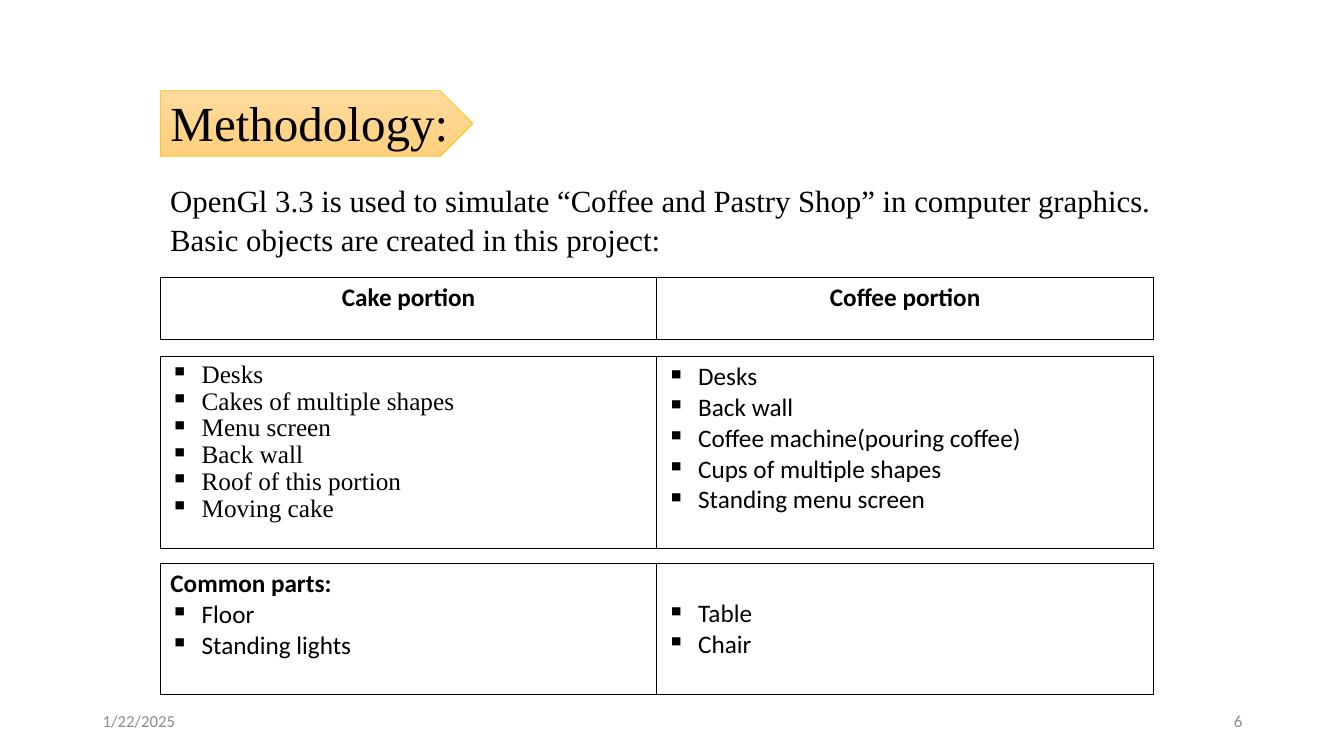
"""Build the methodology slide of a graphics project presentation."""
from dataclasses import dataclass, field
from typing import Any

from lxml import etree
from pptx import Presentation
from pptx import util as u
from pptx.dml.color import RGBColor
from pptx.enum import shapes, text
from pptx.oxml import ns

BLACK = RGBColor(0, 0, 0)
GREY = RGBColor(0x8C, 0x8C, 0x8C)
GOLD = RGBColor(0xFF, 0xC0, 0x00)
LIGHT_ORANGE = RGBColor(0xFF, 0xDB, 0x9E)
DEEP_ORANGE = RGBColor(0xFF, 0xD0, 0x7C)
SERIF, SANS = "Times New Roman", "Calibri"
ALIGN, ANCHOR = text.PP_ALIGN, text.MSO_ANCHOR
LEFT, TABLE_WIDTH = 1.59, 9.85
INDENT = 0.31


@dataclass
class Line:
    words: str
    size: float = 18
    font: str = SANS
    color: RGBColor = BLACK
    bold: bool = False
    bullet: bool = False
    layout: dict[str, Any] = field(default_factory=dict)


@dataclass
class Label:
    place: tuple[float, float, float, float]
    lines: list[Line]
    anchor: ANCHOR = ANCHOR.MIDDLE


@dataclass
class Column:
    lines: list[Line]
    top_margin: float = 0.05


@dataclass
class Panel:
    top: float
    height: float
    columns: list[Column]


def bullets(*items: str, **values: Any) -> list[Line]:
    return [Line(item, bullet=True, **values) for item in items]


def apply(target: Any, values: dict[str, Any]) -> None:
    for name, value in values.items():
        setattr(target, name, value)


def write(frame: Any, lines: list[Line]) -> None:
    for index, line in enumerate(lines):
        para = frame.add_paragraph() if index else frame.paragraphs[0]
        apply(para, line.layout)
        span = para.add_run()
        span.text = line.words
        apply(span.font, {"size": u.Pt(line.size), "name": line.font, "bold": line.bold})
        span.font.color.rgb = line.color
        if line.bullet:
            settings = para._p.get_or_add_pPr()
            settings.set("marL", str(u.Inches(INDENT)))
            settings.set("indent", str(-u.Inches(INDENT)))
            etree.SubElement(settings, ns.qn("a:buChar"), char="▪")


def draw_banner(page: Any) -> None:
    place = map(u.Inches, (LEFT, 0.9, 3.1, 0.65))
    banner = page.shapes.add_shape(shapes.MSO_SHAPE.PENTAGON, *place)
    banner.shadow.inherit = False
    banner.fill.gradient()
    banner.fill.gradient_angle = 270
    for stop, color in zip(banner.fill.gradient_stops, (LIGHT_ORANGE, DEEP_ORANGE)):
        stop.color.rgb = color
    banner.line.color.rgb = GOLD
    banner.line.width = u.Pt(0.5)


def draw_label(page: Any, label: Label) -> None:
    box = page.shapes.add_textbox(*map(u.Inches, label.place))
    apply(box.text_frame, {"word_wrap": True, "vertical_anchor": label.anchor})
    write(box.text_frame, label.lines)


def outline(cell: Any) -> None:
    cell.fill.background()
    settings = cell._tc.get_or_add_tcPr()
    for index, side in enumerate(("lnL", "lnR", "lnT", "lnB")):
        border = etree.Element(ns.qn(f"a:{side}"), w=str(u.Pt(1)))
        paint = etree.SubElement(border, ns.qn("a:solidFill"))
        etree.SubElement(paint, ns.qn("a:srgbClr"), val=str(BLACK))
        settings.insert(index, border)


def draw_panel(page: Any, panel: Panel) -> None:
    place = map(u.Inches, (LEFT, panel.top, TABLE_WIDTH, panel.height))
    table = page.shapes.add_table(1, len(panel.columns), *place).table
    apply(table, {"first_row": False, "horz_banding": False})
    for cell, column in zip(table.iter_cells(), panel.columns):
        cell.margin_top = u.Inches(column.top_margin)
        write(cell.text_frame, column.lines)
        outline(cell)


CENTER = {"alignment": ALIGN.CENTER}
JUSTIFY = {"alignment": ALIGN.JUSTIFY}

LABELS = [
    Label((1.45, 0.91, 3.24, 0.65),
          [Line("Methodology:", 35, SERIF, layout=CENTER | {"line_spacing": 0.9})],
          ANCHOR.BOTTOM),
    Label((LEFT, 1.76, 10.27, 0.84), [
        Line("OpenGl 3.3 is used to simulate “Coffee and Pastry Shop” in computer graphics.",
             22, SERIF, layout=JUSTIFY),
        Line("Basic objects are created in this project:",
             22, SERIF, layout=JUSTIFY | {"space_before": u.Pt(1)}),
    ]),
    Label((0.92, 6.95, 3, 0.4), [Line("1/22/2025", 12, color=GREY)]),
    Label((9.42, 6.95, 3, 0.4),
          [Line("6", 12, color=GREY, layout={"alignment": ALIGN.RIGHT})]),
]

PANELS = [
    Panel(2.75, 0.62, [
        Column([Line(heading, bold=True, layout=CENTER)])
        for heading in ("Cake portion", "Coffee portion")
    ]),
    Panel(3.54, 1.9, [
        Column(bullets("Desks", "Cakes of multiple shapes", "Menu screen", "Back wall",
                       "Roof of this portion", "Moving cake",
                       font=SERIF, layout=JUSTIFY | {"line_spacing": 0.96})),
        Column(bullets("Desks", "Back wall", "Coffee machine(pouring coffee)",
                       "Cups of multiple shapes", "Standing menu screen")),
    ]),
    Panel(5.59, 1.3, [
        Column([Line("Common parts:", bold=True), *bullets("Floor", "Standing lights")]),
        Column(bullets("Table", "Chair"), top_margin=0.35),
    ]),
]


def main() -> None:
    deck = Presentation()
    apply(deck, {"slide_width": u.Inches(13.33), "slide_height": u.Inches(7.5)})
    page = deck.slides.add_slide(deck.slide_layouts[6])
    draw_banner(page)
    for label in LABELS:
        draw_label(page, label)
    for panel in PANELS:
        draw_panel(page, panel)
    deck.save("out.pptx")


if __name__ == "__main__":
    main()
